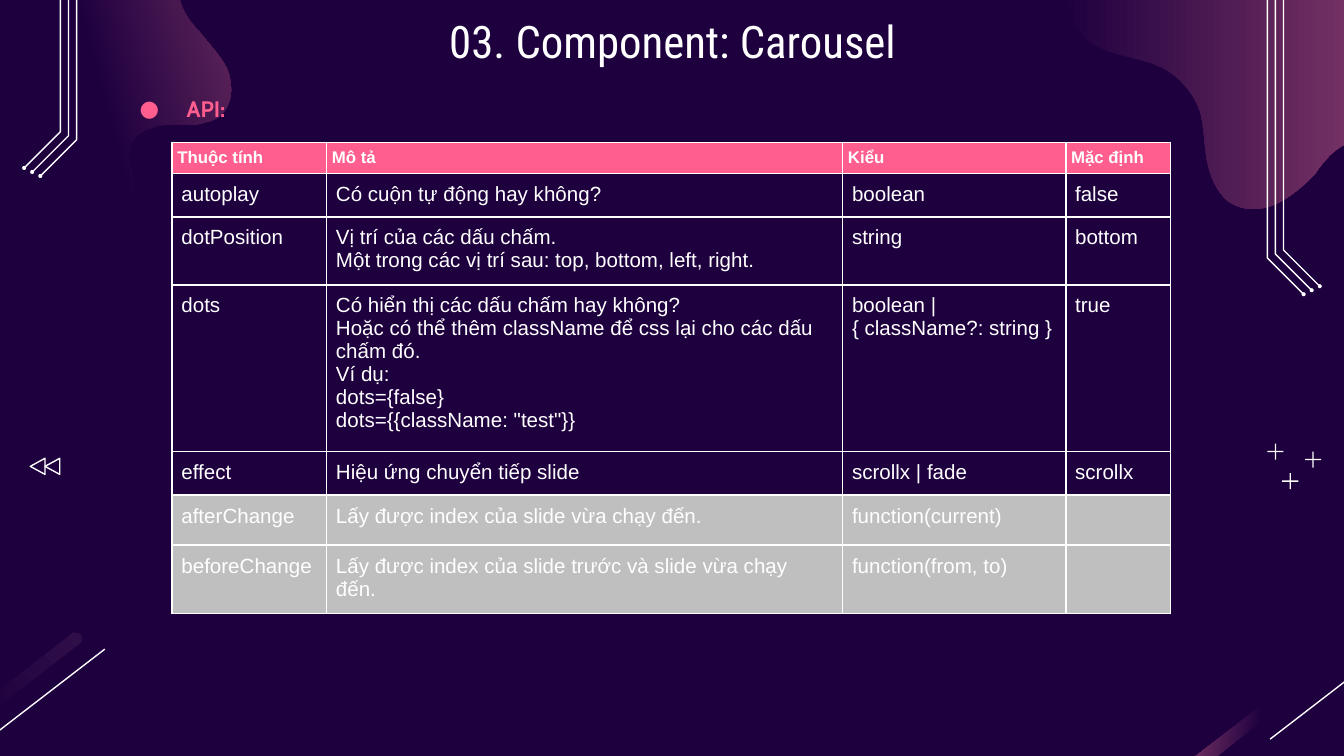
from lxml import etree
from pptx import Presentation
from pptx.dml.color import RGBColor
from pptx.enum.shapes import MSO_CONNECTOR, MSO_SHAPE
from pptx.enum.text import PP_ALIGN
from pptx.oxml.ns import qn
from pptx.util import Inches, Pt

COLORS = {"night": "1E003F", "plum": "A64D79", "dim": "300E48",
          "pink": "FF5E8E", "white": "FFFFFF", "gray": "BFBFBF"}

# Outlines: a start point, then 2 numbers for a line or 6 for a Bezier curve.
LEFT_BLOB = [
    (0.48, 1.9), (0.74, 1.83, 0.86, 1.69, 0.9, 1.65), (0.98, 1.56, 1.01, 1.43, 0.99, 1.31),
    (0.98, 1.24, 0.95, 1.17, 0.97, 1.11), (0.98, 1.02, 1.06, 0.97, 1.14, 0.95),
    (1.15, 0.94, 1.15, 0.94, 1.16, 0.94), (1.24, 0.92, 1.33, 0.93, 1.42, 0.93),
    (1.46, 0.93, 1.5, 0.92, 1.53, 0.91), (1.58, 0.9, 1.63, 0.88, 1.66, 0.84),
    (1.74, 0.75, 1.73, 0.61, 1.69, 0.51), (1.64, 0.41, 1.55, 0.32, 1.48, 0.23),
    (1.4, 0.15, 1.33, 0.04, 1.33, -0.07), (1.33, -0.16, 1.36, -0.25, 1.43, -0.31),
    (1.47, -0.35, 1.53, -0.38, 1.59, -0.39), (1.68, -0.42, 1.79, -0.42, 1.9, -0.41),
    (2.01, -0.41, 2.12, -0.4, 2.23, -0.42), (2.25, -0.43, 2.26, -0.43, 2.28, -0.43),
    (2.37, -0.46, 2.46, -0.51, 2.52, -0.58), (2.59, -0.66, 2.61, -0.78, 2.58, -0.87),
    (2.56, -1.05, 2.44, -1.25, 2.33, -1.34), (2.15, -1.5, 1.9, -1.55, 1.67, -1.51),
    (1.66, -1.5, 1.65, -1.5, 1.64, -1.5), (1.29, -1.4, 1.03, -1.1, 0.7, -0.95),
    (0.65, -0.93, 0.59, -0.91, 0.54, -0.9), (0.22, -0.81, -0.13, -0.85, -0.47, -0.82),
    (-0.62, -0.81, -0.77, -0.78, -0.91, -0.74), (-1.04, -0.71, -1.16, -0.67, -1.28, -0.61),
    (-1.45, -0.54, -1.62, -0.44, -1.74, -0.3), (-1.86, -0.17, -1.95, 0.02, -1.94, 0.22),
    (-1.93, 0.46, -1.76, 0.68, -1.56, 0.8), (-1.35, 0.93, -1.12, 0.97, -0.88, 0.99),
    (-0.74, 1.01, -0.6, 1.01, -0.46, 1.06), (-0.32, 1.1, -0.19, 1.19, -0.13, 1.33),
    (-0.08, 1.44, -0.08, 1.55, -0.03, 1.66), (0.06, 1.84, 0.29, 1.95, 0.47, 1.9)]
RIGHT_BLOB = [
    (11.25, 0.38), (11.25, 0.13, 11.18, -0.13, 11.05, -0.35),
    (10.94, -0.54, 10.78, -0.7, 10.58, -0.77), (10.36, -0.85, 10.12, -0.81, 9.89, -0.84),
    (9.67, -0.87, 9.45, -0.97, 9.29, -1.13), (9.18, -1.23, 9.09, -1.35, 8.97, -1.41),
    (8.83, -1.48, 8.67, -1.46, 8.52, -1.43), (8.4, -1.4, 8.28, -1.36, 8.19, -1.29),
    (8.03, -1.17, 7.96, -0.97, 7.93, -0.78), (7.9, -0.65, 7.89, -0.51, 7.89, -0.38),
    (7.89, -0.31, 7.89, -0.24, 7.9, -0.18), (7.91, 0, 7.96, 0.18, 8.09, 0.3),
    (8.25, 0.42, 8.47, 0.42, 8.64, 0.5), (8.78, 0.57, 8.88, 0.69, 8.93, 0.83),
    (8.96, 0.94, 8.96, 1.07, 8.98, 1.19), (9, 1.3, 9.05, 1.43, 9.14, 1.5),
    (9.24, 1.57, 9.38, 1.57, 9.49, 1.52), (9.6, 1.47, 9.69, 1.39, 9.78, 1.3),
    (9.83, 1.23, 9.88, 1.16, 9.95, 1.11), (10.02, 1.06, 10.1, 1.03, 10.18, 1.06),
    (10.33, 1.1, 10.38, 1.3, 10.52, 1.38), (10.85, 1.57, 11.08, 1.12, 11.17, 0.88),
    (11.22, 0.72, 11.25, 0.55, 11.25, 0.38)]
STREAK = [
    (0.56, 4.71), (0.57, 4.71, 0.59, 4.71, 0.6, 4.72), (0.61, 4.75, 0.61, 4.78, 0.59, 4.79),
    (-0.81, 5.88), (-0.84, 5.89, -0.87, 5.89, -0.88, 5.87),
    (-0.9, 5.85, -0.9, 5.82, -0.87, 5.8), (0.53, 4.72), (0.54, 4.71, 0.55, 4.7, 0.56, 4.71)]

COLUMN_WIDTHS = [1.15, 3.84, 1.66, 0.78]
ROW_HEIGHTS = [0.2] + [0] * 6  # rows grow to fit their text
API_ROWS = [
    ("Thuộc tính", "Mô tả", "Kiểu", "Mặc định"),
    ("autoplay", "Có cuộn tự động hay không?", "boolean", "false"),
    ("dotPosition",
     "Vị trí của các dấu chấm.\nMột trong các vị trí sau: top, bottom, left, right.",
     "string", "bottom"),
    ("dots",
     "Có hiển thị các dấu chấm hay không?\n"
     "Hoặc có thể thêm className để css lại cho các dấu chấm đó.\n"
     'Ví dụ:\ndots={false}\ndots={{className: "test"}}',
     "boolean |\n{ className?: string }", "true"),
    ("effect", "Hiệu ứng chuyển tiếp slide", "scrollx | fade", "scrollx"),
    ("afterChange", "Lấy được index của slide vừa chạy đến.", "function(current)", ""),
    ("beforeChange", "Lấy được index của slide trước và slide vừa chạy đến.",
     "function(from, to)", "")]


def rgb(name):
    return RGBColor.from_string(COLORS[name])


def flatten(outline, steps=8):
    """Turn an outline of lines and Bezier curves into plain points."""
    points = [outline[0]]
    for segment in outline[1:]:
        if len(segment) == 2:
            points.append(segment)
            continue
        knots = [points[-1], segment[:2], segment[2:4], segment[4:]]
        for step in range(1, steps + 1):
            t = step / steps
            weights = [(1 - t) ** 3, 3 * t * (1 - t) ** 2, 3 * t * t * (1 - t), t ** 3]
            points.append(tuple(sum(w * k[axis] for w, k in zip(weights, knots))
                                for axis in (0, 1)))
    return points


class SlideBuilder:
    """Draws styled elements on one slide; lengths are in inches."""

    def __init__(self, slide):
        self.shapes = slide.shapes
        slide.background.fill.solid()
        slide.background.fill.fore_color.rgb = rgb("night")

    def style_text(self, paragraph, size, font, color="white", bold=False):
        for run in paragraph.runs:
            run.font.size, run.font.name, run.font.bold = Pt(size), font, bold
            run.font.color.rgb = rgb(color)

    def outline(self, points, closed=True):
        (x, y), *rest = [(Inches(px), Inches(py)) for px, py in points]
        builder = self.shapes.build_freeform(x, y)
        builder.add_line_segments(rest, close=closed)
        shape = builder.convert_to_shape()
        shape.shadow.inherit = False
        return shape

    def gradient_blob(self, path, angle, start=0, end_color="plum"):
        """Fill from night to end_color; angle runs counter-clockwise."""
        blob = self.outline(flatten(path))
        blob.line.fill.background()
        blob.fill.gradient()
        blob.fill.gradient_angle = angle
        first, last = blob.fill.gradient_stops
        first.position, first.color.rgb = start, rgb("night")
        last.position, last.color.rgb = 1, rgb(end_color)

    def white_outline(self, shape):
        shape.fill.background()
        shape.line.color.rgb = rgb("white")
        shape.line.width = Pt(0.75)

    def trace(self, points):
        self.white_outline(self.outline(points, closed=False))

    def solid(self, kind, center_x, center_y, width, height):
        shape = self.shapes.add_shape(kind, Inches(center_x - width / 2),
                                      Inches(center_y - height / 2),
                                      Inches(width), Inches(height))
        shape.shadow.inherit = False
        shape.fill.solid()
        shape.fill.fore_color.rgb = rgb("white")
        shape.line.fill.background()
        return shape

    def line(self, x1, y1, x2, y2):
        line = self.shapes.add_connector(MSO_CONNECTOR.STRAIGHT, Inches(x1), Inches(y1),
                                         Inches(x2), Inches(y2))
        line.line.color.rgb = rgb("white")
        line.line.width = Pt(0.75)
        etree.SubElement(line._element.spPr, qn("a:effectLst"))

    def text(self, content, left, top, width, height, **style):
        box = self.shapes.add_textbox(Inches(left), Inches(top), Inches(width), Inches(height))
        frame = box.text_frame
        frame.word_wrap = True
        frame.margin_left = frame.margin_right = Inches(0.1)
        frame.margin_top = frame.margin_bottom = Inches(0.1)
        frame.text = content
        self.style_text(frame.paragraphs[0], **style)
        return frame.paragraphs[0]

    def bullet(self, paragraph, color, font):
        paragraph.line_spacing = 1.5
        props = paragraph._p.get_or_add_pPr()
        props.set("marL", str(Inches(0.5)))
        props.set("indent", str(Inches(-0.35)))
        bullet_color = etree.SubElement(props, qn("a:buClr"))
        etree.SubElement(bullet_color, qn("a:srgbClr"), val=COLORS[color])
        etree.SubElement(props, qn("a:buFont"), typeface=font)
        etree.SubElement(props, qn("a:buChar"), char="●")

    def cell_borders(self, cell):
        props = cell._tc.get_or_add_tcPr()
        for side in ("lnL", "lnR", "lnT", "lnB"):
            border = etree.SubElement(props, qn(f"a:{side}"), w=str(Pt(1)))
            fill = etree.SubElement(border, qn("a:solidFill"))
            etree.SubElement(fill, qn("a:srgbClr"), val=COLORS["white"])

    def cell(self, cell, content, margin, size, bold, fill):
        cell.margin_left = cell.margin_right = Inches(margin)
        cell.margin_top = cell.margin_bottom = Inches(margin)
        self.cell_borders(cell)
        if fill:
            cell.fill.solid()
            cell.fill.fore_color.rgb = rgb(fill)
        else:
            cell.fill.background()
        cell.text_frame.text = content
        for paragraph in cell.text_frame.paragraphs:
            self.style_text(paragraph, size, "Arial", bold=bold)
            if not content:
                etree.SubElement(paragraph._p, qn("a:endParaRPr"), sz="1400")

    def table(self, rows, left, top, height, widths, heights):
        frame = self.shapes.add_table(len(rows), len(widths), Inches(left), Inches(top),
                                      Inches(sum(widths)), Inches(height))
        table = frame.table
        table.first_row = table.horz_banding = False
        for column, width in zip(table.columns, widths):
            column.width = Inches(width)
        for r, (row, row_height) in enumerate(zip(rows, heights)):
            table.rows[r].height = Inches(row_height)
            header = r == 0
            fill = "pink" if header else "gray" if r >= 5 else None
            for c, content in enumerate(row):
                self.cell(table.cell(r, c), content, 0.04 if header else 0.07,
                          9 if header else 11, header, fill)
        frame.height = Inches(height)


def draw_decoration(page):
    page.gradient_blob(LEFT_BLOB, 15, start=0.55)
    page.gradient_blob(RIGHT_BLOB, 0)

    for shift, angle, color in ((0, 40, "dim"), (9.54, 173, "plum")):
        streak = [tuple(v + shift * (i % 2 == 0) for i, v in enumerate(segment))
                  for segment in STREAK]
        page.gradient_blob(streak, angle, start=0.5, end_color=color)
        page.line(0.78 + shift, 4.83, -0.09 + shift, 5.5)

    for edge, outward, drop in ((10, -1, 0.88), (0, 1, 0)):
        for i in range(3):
            x = edge + outward * (0.45 + 0.06 * i)
            bend = 0.98 + 0.03 * i + drop
            tip = (x - outward * 0.27, bend + 0.27)
            page.trace([(x, drop - 2.07), (x, bend), tip])
            page.solid(MSO_SHAPE.OVAL, *tip, 0.03, 0.03)

    for x, y in ((9.6, 3.58), (9.77, 3.42), (9.49, 3.36)):
        page.solid(MSO_SHAPE.RECTANGLE, x, y, 0.12, 0.01)
        page.solid(MSO_SHAPE.RECTANGLE, x, y, 0.01, 0.12)

    for x in (0.28, 0.39):
        rewind = page.solid(MSO_SHAPE.ISOSCELES_TRIANGLE, x, 3.47, 0.12, 0.11)
        rewind.rotation = 270
        page.white_outline(rewind)


def main():
    deck = Presentation()
    deck.slide_width = Inches(10)
    deck.slide_height = deck.slide_width * 9 // 16
    page = SlideBuilder(deck.slides.add_slide(deck.slide_layouts[6]))
    draw_decoration(page)
    api = page.text("API:", 0.79, 0.51, 8.12, 0.48,
                    size=12, font="Cabin", color="pink", bold=True)
    page.bullet(api, "pink", "Cabin")
    title = page.text("03. Component: Carousel", 0.79, 0, 8.43, 0.63,
                      size=24, font="Roboto Condensed")
    title.alignment = PP_ALIGN.CENTER
    page.table(API_ROWS, 1.28, 1.06, 3.37, COLUMN_WIDTHS, ROW_HEIGHTS)
    deck.save("out.pptx")


if __name__ == "__main__":
    main()
